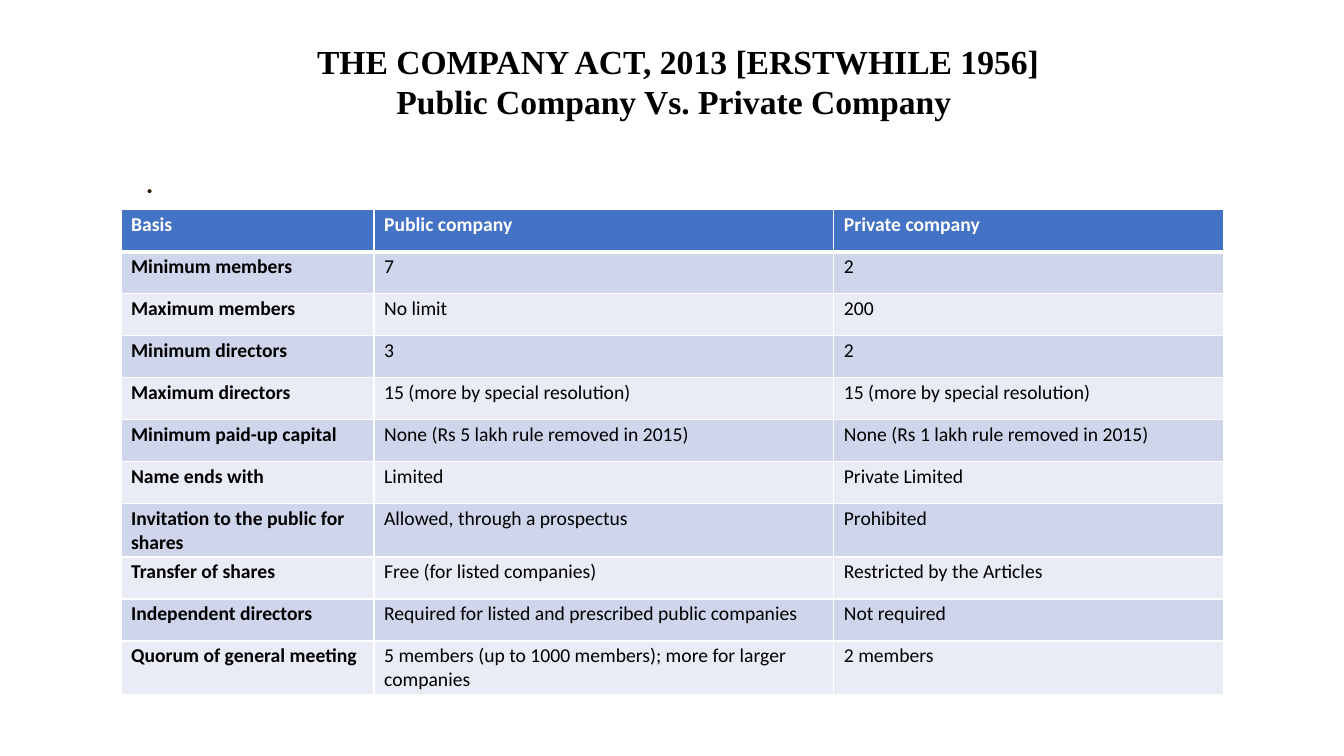
import dataclasses

import pptx
import pptx.dml.color
import pptx.enum.text
import pptx.oxml
import pptx.oxml.ns
import pptx.util
from pptx.util import Inches


@dataclasses.dataclass(frozen=True)
class Theme:
    title_font: str = "Times New Roman"
    body_font: str = "Calibri"
    bullet_font: str = "Arial"
    title_size: float = 24
    body_size: float = 14
    bullet_size: float = 10.5
    text: str = "000000"
    bullet: str = "291900"
    header_text: str = "FFFFFF"
    header_fill: str = "4472C4"
    bands: tuple = ("CFD5EA", "E9EBF5")
    border: str = "FFFFFF"
    border_width: float = 1
    header_border_width: float = 3


class SlideBuilder:
    def __init__(self, slide, theme):
        self.slide = slide
        self.theme = theme

    def add_run(self, paragraph, text, font, size, color, bold=False):
        run = paragraph.add_run()
        run.text = text
        run.font.name = font
        run.font.size = pptx.util.Pt(size)
        run.font.bold = bold
        run.font.color.rgb = pptx.dml.color.RGBColor.from_string(color)
        return run

    def add_text_box(self, left, top, width, height, inset_top, wrap=True):
        box = self.slide.shapes.add_textbox(
            Inches(left), Inches(top), Inches(width), Inches(height))
        frame = box.text_frame
        frame.word_wrap = wrap
        frame.margin_left = frame.margin_right = frame.margin_bottom = 0
        frame.margin_top = Inches(inset_top)
        return frame

    def add_title(self, lines):
        frame = self.add_text_box(1.45, 0.39, 10.55, 0.82, 0.01)
        frame.vertical_anchor = pptx.enum.text.MSO_ANCHOR.MIDDLE
        paragraph = frame.paragraphs[0]
        paragraph.alignment = pptx.enum.text.PP_ALIGN.CENTER
        for index, line in enumerate(lines):
            if index:
                paragraph.add_line_break()
            self.add_run(paragraph, line, self.theme.title_font,
                         self.theme.title_size, self.theme.text, bold=True)
        # The line break takes the title size so both lines are equally tall
        for line_break in paragraph._p.findall(pptx.oxml.ns.qn("a:br")):
            line_break.append(pptx.oxml.parse_xml(
                f'<a:rPr {pptx.oxml.ns.nsdecls("a")} '
                f'sz="{self.theme.title_size * 100}"/>'))

    def add_bullet_mark(self, left, top):
        frame = self.add_text_box(left, top, 0.08, 0.21, 0.04, wrap=False)
        self.add_run(frame.paragraphs[0], "•", self.theme.bullet_font,
                     self.theme.bullet_size, self.theme.bullet)

    def set_borders(self, cell, top_width, bottom_width):
        side_width = self.theme.border_width
        widths = {"lnL": side_width, "lnR": side_width,
                  "lnT": top_width, "lnB": bottom_width}
        properties = cell._tc.get_or_add_tcPr()
        for tag, width in widths.items():
            properties.append(pptx.oxml.parse_xml(
                f'<a:{tag} {pptx.oxml.ns.nsdecls("a")} w="{pptx.util.Pt(width)}">'
                f'<a:solidFill><a:srgbClr val="{self.theme.border}"/></a:solidFill>'
                f'</a:{tag}>'))

    def fill_cell(self, cell, text, row, column):
        theme = self.theme
        is_header = row == 0
        cell.margin_left = cell.margin_right = Inches(0.1)
        cell.margin_top = cell.margin_bottom = Inches(0.03)
        thin, thick = theme.border_width, theme.header_border_width
        self.set_borders(cell, thick if row == 1 else thin,
                         thick if is_header else thin)
        fill = theme.header_fill if is_header else theme.bands[(row - 1) % 2]
        cell.fill.solid()
        cell.fill.fore_color.rgb = pptx.dml.color.RGBColor.from_string(fill)
        self.add_run(cell.text_frame.paragraphs[0], text, theme.body_font,
                     theme.body_size,
                     theme.header_text if is_header else theme.text,
                     bold=is_header or column == 0)

    def add_table(self, rows, left, top, column_widths, row_height):
        table = self.slide.shapes.add_table(
            len(rows), len(column_widths), Inches(left), Inches(top),
            Inches(sum(column_widths)), Inches(row_height * len(rows))).table
        table.horz_banding = False
        for column, width in zip(table.columns, column_widths):
            column.width = Inches(width)
        for row_index, texts in enumerate(rows):
            for column_index, text in enumerate(texts):
                self.fill_cell(table.cell(row_index, column_index), text,
                               row_index, column_index)


COMPARISON = [
    ("Basis", "Public company", "Private company"),
    ("Minimum members", "7", "2"),
    ("Maximum members", "No limit", "200"),
    ("Minimum directors", "3", "2"),
    ("Maximum directors", "15 (more by special resolution)",
     "15 (more by special resolution)"),
    ("Minimum paid-up capital", "None (Rs 5 lakh rule removed in 2015)",
     "None (Rs 1 lakh rule removed in 2015)"),
    ("Name ends with", "Limited", "Private Limited"),
    ("Invitation to the public for shares", "Allowed, through a prospectus",
     "Prohibited"),
    ("Transfer of shares", "Free (for listed companies)",
     "Restricted by the Articles"),
    ("Independent directors",
     "Required for listed and prescribed public companies", "Not required"),
    ("Quorum of general meeting",
     "5 members (up to 1000 members); more for larger companies", "2 members"),
]


def main():
    presentation = pptx.Presentation()
    presentation.slide_width = Inches(13.33)
    presentation.slide_height = Inches(7.5)
    slide = presentation.slides.add_slide(presentation.slide_layouts[6])
    builder = SlideBuilder(slide, Theme())

    # Lone bullet above the table
    builder.add_bullet_mark(1.46, 1.76)

    # Heading
    builder.add_title(["THE COMPANY ACT, 2013 [ERSTWHILE 1956]",
                       "Public Company Vs. Private Company "])

    # Comparison table
    builder.add_table(COMPARISON, left=1.2, top=2.08,
                      column_widths=(2.51, 4.56, 3.87), row_height=4.59 / 11)

    presentation.save("out.pptx")


if __name__ == "__main__":
    main()
